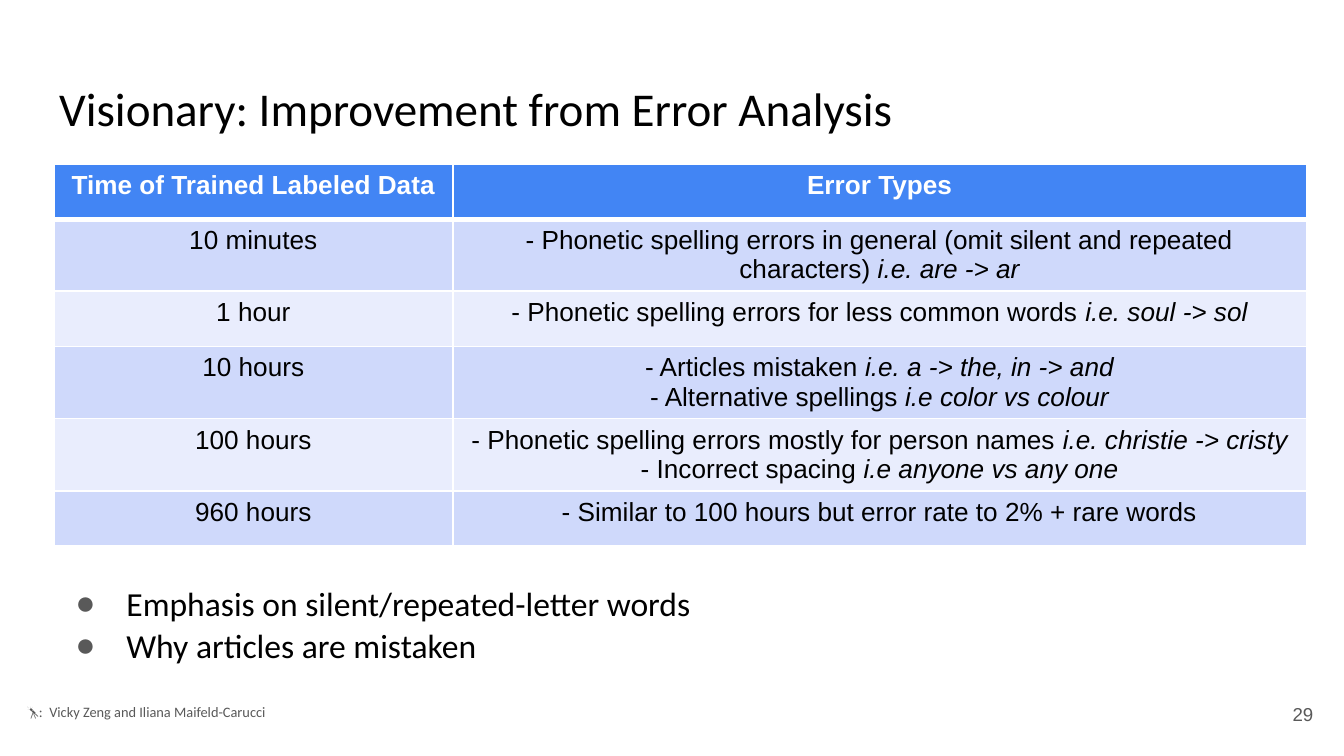
"""Build the error analysis slide: title, table, takeaways, credit and page number."""
from lxml import etree
from pptx import Presentation
from pptx.dml.color import RGBColor
from pptx.enum.text import MSO_ANCHOR, MSO_AUTO_SIZE, PP_ALIGN
from pptx.oxml.ns import qn
from pptx.util import Inches, Pt

LEFT, CENTER, RIGHT = PP_ALIGN.LEFT, PP_ALIGN.CENTER, PP_ALIGN.RIGHT
TOP, MIDDLE = MSO_ANCHOR.TOP, MSO_ANCHOR.MIDDLE
NO_FIT = MSO_AUTO_SIZE.NONE

SLIDE_WIDTH, ASPECT = 10, 16 / 9
BLACK, WHITE, GREY = "000000", "FFFFFF", "595959"
HEADER_FILL, BAND_FILLS = "4285F4", ("CFD9FB", "E9EDFD")

TITLE = "Visionary: Improvement from Error Analysis"
TAKEAWAYS = ["Emphasis on silent/repeated-letter words", "Why articles are mistaken"]
CREDIT = "🔭:  Vicky Zeng and Iliana Maifeld-Carucci"
PAGE = "29"
HEADERS = ("Time of Trained Labeled Data", "Error Types")
ERRORS = [
    ("10 minutes", [("- Phonetic spelling errors in general (omit silent and repeated characters)",
                     " i.e. are -> ar")]),
    ("1 hour", [("- Phonetic spelling errors for less common words ", "i.e. soul -> sol")]),
    ("10 hours", [("- Articles mistaken ", "i.e. a -> the, in -> and"),
                  ("- Alternative spellings ", "i.e color vs colour")]),
    ("100 hours", [("- Phonetic spelling errors mostly for person names ",
                    "i.e. christie -> cristy"),
                   ("- Incorrect spacing ", "i.e anyone vs any one")]),
    ("960 hours", [("- Similar to 100 hours but error rate to 2% + rare words",)]),
]
COLUMN_WIDTHS, ROW_HEIGHT = (2.97, 6.35), 0.41


def rgb(value):
    return RGBColor.from_string(value)


def write(frame, lines, font, color, align=LEFT, spacing=None):
    """Fill a frame with lines, each a tuple of a plain part and an optional italic example."""
    for index, parts in enumerate(lines):
        paragraph = frame.paragraphs[0] if index == 0 else frame.add_paragraph()
        formats = {"alignment": align, "space_before": Pt(0), **(spacing or {})}
        for name, value in formats.items():
            setattr(paragraph, name, value)
        for part, text in enumerate(parts):
            run = paragraph.add_run()
            run.text = text
            for name, value in {**font, "italic": part == 1}.items():
                setattr(run.font, name, value)
            run.font.color.rgb = rgb(color)


def place(shape, box, anchor=TOP):
    """Move a text shape and give its frame even margins."""
    for name, value in zip(("left", "top", "width", "height"), box):
        setattr(shape, name, Inches(value))
    frame = shape.text_frame
    margins = {f"margin_{side}": Inches(0.1) for side in ("left", "top", "right", "bottom")}
    formats = {"word_wrap": True, "auto_size": NO_FIT, "vertical_anchor": anchor, **margins}
    for name, value in formats.items():
        setattr(frame, name, value)
    return frame


def set_bullets(frame, bullet=None):
    """Give each paragraph a hanging grey bullet, or none."""
    for paragraph in frame.paragraphs:
        props = paragraph._p.get_or_add_pPr()
        props.set("marL", str(Inches(0.5 if bullet else 0)))
        props.set("indent", str(Inches(-0.38 if bullet else 0)))
        if bullet:
            color = etree.SubElement(props, qn("a:buClr"))
            etree.SubElement(color, qn("a:srgbClr"), val=GREY)
            etree.SubElement(props, qn("a:buFont"), typeface="Arial")
            etree.SubElement(props, qn("a:buChar"), char=bullet)
        else:
            etree.SubElement(props, qn("a:buNone"))


def style_cell(cell, fill, bottom):
    """Fill a cell and draw white borders around it."""
    cell.fill.solid()
    cell.fill.fore_color.rgb = rgb(fill)
    props = cell._tc.get_or_add_tcPr()
    for index, (side, width) in enumerate((("L", 1), ("R", 1), ("T", 1), ("B", bottom))):
        line = etree.Element(qn(f"a:ln{side}"), w=str(Pt(width)))
        line_fill = etree.SubElement(line, qn("a:solidFill"))
        etree.SubElement(line_fill, qn("a:srgbClr"), val=WHITE)
        props.insert(index, line)


def add_error_table(slide):
    """Add the table of error types with a header row and banded rows."""
    rows = [[[(header,)] for header in HEADERS]]
    rows += [[[(time,)], errors] for time, errors in ERRORS]
    table = slide.shapes.add_table(
        len(rows), len(COLUMN_WIDTHS), Inches(0.4), Inches(1.22),
        Inches(sum(COLUMN_WIDTHS)), Inches(ROW_HEIGHT * len(rows))).table
    for column, width in zip(table.columns, COLUMN_WIDTHS):
        column.width = Inches(width)
    for r, row in enumerate(rows):
        header = r == 0
        fill = HEADER_FILL if header else BAND_FILLS[(r - 1) % 2]
        font = {"name": "Arial", "size": Pt(14), "bold": header}
        for c, lines in enumerate(row):
            cell = table.cell(r, c)
            write(cell.text_frame, lines, font, WHITE if header else BLACK, CENTER)
            style_cell(cell, fill, 3 if header else 1)


def main():
    deck = Presentation()
    deck.slide_width, deck.slide_height = Inches(SLIDE_WIDTH), Inches(SLIDE_WIDTH / ASPECT)
    slide = deck.slides.add_slide(deck.slide_layouts[3])
    title, takeaways, credit = slide.placeholders

    frame = place(title, (0.34, 0.49, 9.32, 0.63))
    write(frame, [(TITLE,)], {"name": "Calibri", "size": Pt(25.2)}, BLACK)

    frame = place(credit, (0.1, 5.14, 3.45, 0.5))
    write(frame, [(CREDIT,)], {"name": "Calibri", "size": Pt(7.7)}, GREY,
          spacing={"line_spacing": 0.95, "space_after": Pt(12)})
    set_bullets(frame)

    page = slide.shapes.add_textbox(0, 0, 0, 0)
    frame = place(page, (9.27, 5.1, 0.6, 0.43), MIDDLE)
    write(frame, [(PAGE,)], {"name": "Arial", "size": Pt(10)}, GREY, RIGHT)

    frame = place(takeaways, (0.34, 4.22, 9.32, 0.86))
    write(frame, [(line,) for line in TAKEAWAYS], {"name": "Calibri", "size": Pt(18)}, BLACK,
          spacing={"line_spacing": 1.05})
    set_bullets(frame, "●")

    add_error_table(slide)
    deck.save("out.pptx")


if __name__ == "__main__":
    main()
